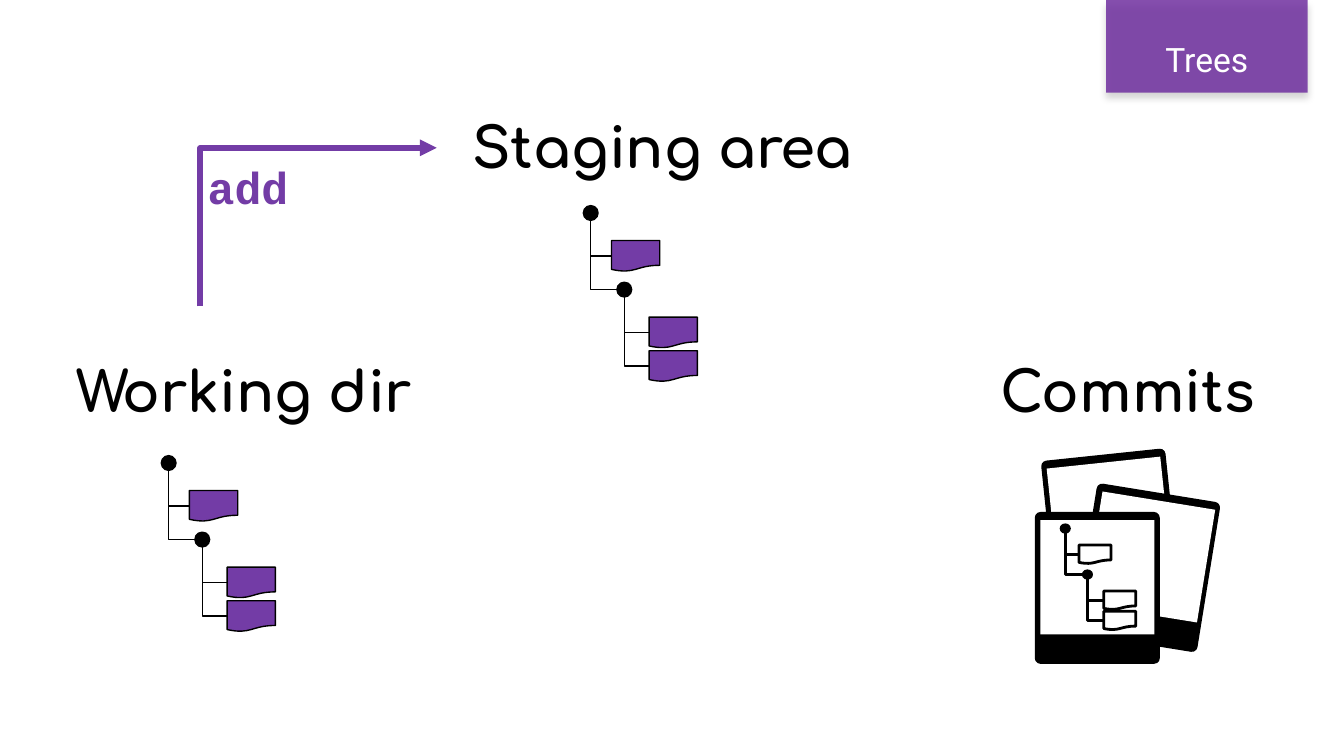
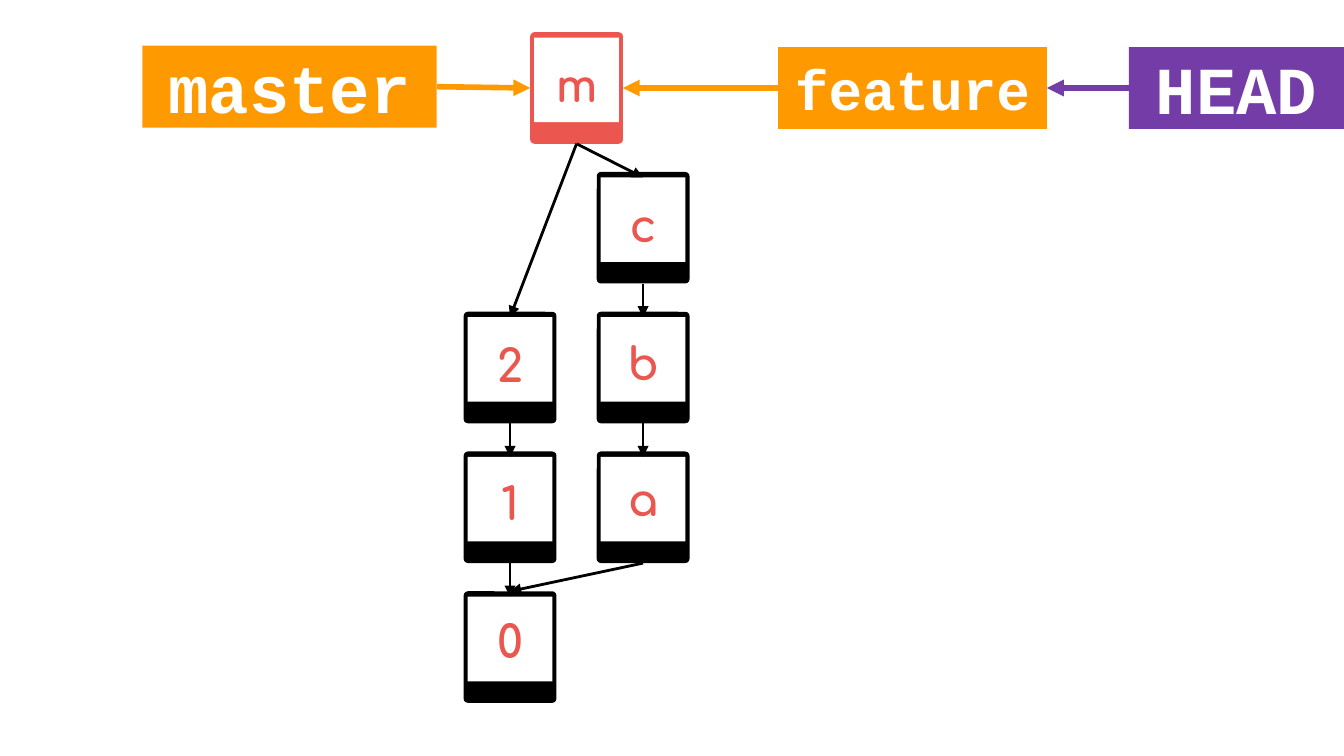
from lxml import etree
from pptx import Presentation
from pptx.dml.color import RGBColor
from pptx.enum.shapes import MSO_CONNECTOR as LINE, MSO_SHAPE as SHAPE
from pptx.enum.text import MSO_ANCHOR as ANCHOR, PP_ALIGN as ALIGN
from pptx.oxml.ns import qn
from pptx.util import Inches, Pt

BLACK, WHITE = "000000", "FFFFFF"
PURPLE, BADGE_PURPLE = "733CA6", "7030A0"
ORANGE, RED = "FF9900", "EB574F"
HEADING, CODE, LABEL = "Comfortaa", "Courier New", "Roboto"
TOP, LEFT, BOTTOM, RIGHT = range(4)

AREAS = [
    ("Working dir", (0.47, 2.55, 3.76, 0.69), ALIGN.LEFT),
    ("Staging area", (3.18, 0.74, 3.5, 0.69), ALIGN.CENTER),
    ("Commits", (7.08, 2.55, 2.62, 0.69), ALIGN.CENTER),
]
ADD_BOX = (0.47, 1.09, 2.75, 0.69)
ADD_ARROW = ((1.49, 2.28), (3.25, 1.1))
BADGE = (8.23, 0, 1.5, 0.69)
BADGE_TEXT = (8.23, 0.13, 1.5, 0.47)

PHOTO_SIZE, PHOTO_WINDOW = (0.93, 1.13), (0.85, 0.85)
PHOTOS = [
    ((7.8, 3.38), (7.83, 3.44), -6),
    ((8.07, 3.66), (8.13, 3.72), 9.2),
    ((7.7, 3.81), (7.74, 3.87), 0),
]

DOT, FILE = (0.11, 0.11), (0.36, 0.23)
FOLDERS = [(0, 0), (0.25, 0.57)]
FILES = [(0.21, 0.26, 0), (0.49, 0.83, 1), (0.49, 1.08, 1)]
TREES = [
    ((7.89, 3.9), (0.66, 0.6), WHITE, 1.5),
    ((4.34, 1.53), (1, 1), PURPLE, 0.75),
    ((1.2, 3.39), (1, 1), PURPLE, 0.75),
]

COLUMN_LEFT, COLUMN_STEP = 3.45, 0.99
ROW_TOP, ROW_STEP = 0.24, 1.04
COMMIT_SIZE, COMMIT_WINDOW = (0.69, 0.83), (0.63, 0.63)
COMMITS = [
    ("2", 0, 2, 0.17, BLACK),
    ("1", 0, 3, 0.16, BLACK),
    ("0", 0, 4, 0.15, BLACK),
    ("c", 1, 1, 0.17, BLACK),
    ("b", 1, 2, 0.16, BLACK),
    ("a", 1, 3, 0.13, BLACK),
    ("m", 0.5, 0, 0.17, RED),
]
PARENTS = ["21", "10", "cb", "ba", "mc", "m2"]
REFS = [
    ("HEAD", (8.4, 0.35, 1.6, 0.61), 36, PURPLE),
    ("feature", (5.79, 0.35, 2, 0.61), 30, ORANGE),
    ("master", (1.06, 0.34, 2.19, 0.61), 36, ORANGE),
]


def rgb(color):
    return RGBColor.from_string(color)


def add_xml(parent, tag, **attributes):
    return etree.SubElement(parent, qn(tag), attributes)


def write(holder, words, size, font, color, align=ALIGN.CENTER,
          anchor=ANCHOR.MIDDLE, bold=True):
    frame = holder.text_frame
    frame.word_wrap = True
    frame.vertical_anchor = anchor
    frame.margin_left = frame.margin_right = Inches(0.1)
    frame.margin_top = frame.margin_bottom = Inches(0.1)
    paragraph = frame.paragraphs[0]
    paragraph.text = words
    paragraph.alignment = align
    paragraph.font.size = Pt(size)
    paragraph.font.name = font
    paragraph.font.bold = bold
    paragraph.font.color.rgb = rgb(color)
    return paragraph


def add_text(shapes, box, *style, **options):
    return write(shapes.add_textbox(*map(Inches, box)), *style, **options)


def add_shape(shapes, kind, box, fill, outline=None, weight=0.75):
    shape = shapes.add_shape(kind, *map(Inches, box))
    shape.shadow.inherit = False
    shape.fill.solid()
    shape.fill.fore_color.rgb = rgb(fill)
    if outline:
        shape.line.color.rgb = rgb(outline)
        shape.line.width = Pt(weight)
    else:
        shape.line.fill.background()
    return shape


def add_line(shapes, kind, start, end, color, weight, arrow):
    line = shapes.add_connector(kind, *map(Inches, (*start, *end)))
    line.line.color.rgb = rgb(color)
    line.line.width = Pt(weight)
    if arrow:
        add_xml(line.line._ln, "a:tailEnd", type="triangle")
    add_xml(line._element.spPr, "a:effectLst")
    return line


def add_elbow(shapes, start, end, color, weight, arrow=False):
    (x1, y1), (x2, y2) = start, end
    middle_x, middle_y = (x1 + x2) / 2, (y1 + y2) / 2
    half_w, half_h = abs(y2 - y1) / 2, (x2 - x1) / 2
    elbow = add_line(shapes, LINE.ELBOW,
                     (middle_x - half_w, middle_y - half_h),
                     (middle_x + half_w, middle_y + half_h),
                     color, weight, arrow)
    properties = elbow._element.spPr
    properties.find(qn("a:prstGeom")).set("prst", "bentConnector2")
    transform = properties.find(qn("a:xfrm"))
    transform.set("rot", str(270 * 60000))
    if y2 > y1:
        transform.set("flipH", "1")


def join(shapes, begin, begin_side, end, end_side, color, weight):
    arrow = add_line(shapes, LINE.STRAIGHT, (0, 0), (1, 1), color, weight, True)
    arrow.begin_connect(begin, begin_side)
    arrow.end_connect(end, end_side)


def add_card(shapes, corner, size, window_corner, window_size, color, turn=0):
    card = add_shape(shapes, SHAPE.ROUNDED_RECTANGLE, (*corner, *size), color)
    card.adjustments[0] = 0.045
    window = add_shape(shapes, SHAPE.RECTANGLE,
                       (*window_corner, *window_size), WHITE)
    card.rotation = window.rotation = turn
    return card, window


def add_tree(shapes, origin, scale, fill, weight):
    def place(x, y):
        return origin[0] + x * scale[0], origin[1] + y * scale[1]

    def stretch(size):
        return size[0] * scale[0], size[1] * scale[1]

    dot_w, dot_h = DOT
    stems = [place(x + dot_w / 2, y + dot_h) for x, y in FOLDERS]
    for x, y, folder in FILES:
        add_shape(shapes, SHAPE.FLOWCHART_DOCUMENT,
                  (*place(x, y), *stretch(FILE)), fill, BLACK, weight)
        add_elbow(shapes, stems[folder], place(x, y + FILE[1] / 2),
                  BLACK, weight)
    x, y = FOLDERS[1]
    add_elbow(shapes, stems[0], place(x, y + dot_h / 2), BLACK, weight)
    for folder in FOLDERS:
        add_shape(shapes, SHAPE.OVAL, (*place(*folder), *stretch(DOT)),
                  BLACK, BLACK)


def add_badge(shapes, words):
    badge = add_shape(shapes, SHAPE.RECTANGLE, BADGE, BADGE_PURPLE)
    properties = badge._element.spPr
    fill = properties.find(qn("a:solidFill"))
    add_xml(fill[0], "a:alpha", val="85000")
    shadow = add_xml(properties.find(qn("a:effectLst")), "a:outerShdw",
                     blurRad=str(Pt(4)), dist=str(Pt(3)),
                     dir=str(90 * 60000), rotWithShape="0")
    add_xml(add_xml(shadow, "a:srgbClr", val=BLACK), "a:alpha", val="20000")
    label = add_text(shapes, BADGE_TEXT, words, 18, LABEL, WHITE, bold=False)
    label.line_spacing = 1.5


def build_trees(shapes):
    for words, box, align in AREAS:
        add_text(shapes, box, words, 30, HEADING, BLACK,
                 align=align, anchor=ANCHOR.TOP)
    add_text(shapes, ADD_BOX, "add", 24, CODE, PURPLE, anchor=ANCHOR.TOP)
    add_elbow(shapes, *ADD_ARROW, PURPLE, 3, arrow=True)
    add_badge(shapes, "Trees")
    for corner, window_corner, turn in PHOTOS:
        add_card(shapes, corner, PHOTO_SIZE, window_corner, PHOTO_WINDOW,
                 BLACK, turn)
    for tree in TREES:
        add_tree(shapes.add_group_shape().shapes, *tree)


def build_history(shapes):
    cards, windows, refs = {}, {}, {}
    for name, column, row, text_drop, color in COMMITS:
        left = COLUMN_LEFT + column * COLUMN_STEP
        top = ROW_TOP + row * ROW_STEP
        cards[name], windows[name] = add_card(
            shapes.add_group_shape().shapes, (left, top), COMMIT_SIZE,
            (left + 0.03, top + 0.04), COMMIT_WINDOW, color)
        add_text(shapes, (left + 0.05, top + text_drop, 0.59, 0.44),
                 name, 24, HEADING, RED)
    for child, parent in PARENTS:
        join(shapes, cards[child], BOTTOM, windows[parent], TOP, BLACK, 1.5)
    join(shapes, cards["a"], BOTTOM, cards["0"], TOP, BLACK, 1.5)

    for name, box, size, color in REFS:
        refs[name] = add_shape(shapes, SHAPE.RECTANGLE, box, color)
        write(refs[name], name, size, CODE, WHITE)
    join(shapes, refs["HEAD"], LEFT, refs["feature"], RIGHT, PURPLE, 3)
    join(shapes, refs["feature"], LEFT, cards["m"], RIGHT, ORANGE, 3)
    join(shapes, refs["master"], RIGHT, cards["m"], LEFT, ORANGE, 3)


def main():
    deck = Presentation()
    deck.slide_width = Inches(10)
    deck.slide_height = deck.slide_width * 9 // 16
    for build in (build_trees, build_history):
        build(deck.slides.add_slide(deck.slide_layouts[6]).shapes)
    deck.save("out.pptx")


if __name__ == "__main__":
    main()
